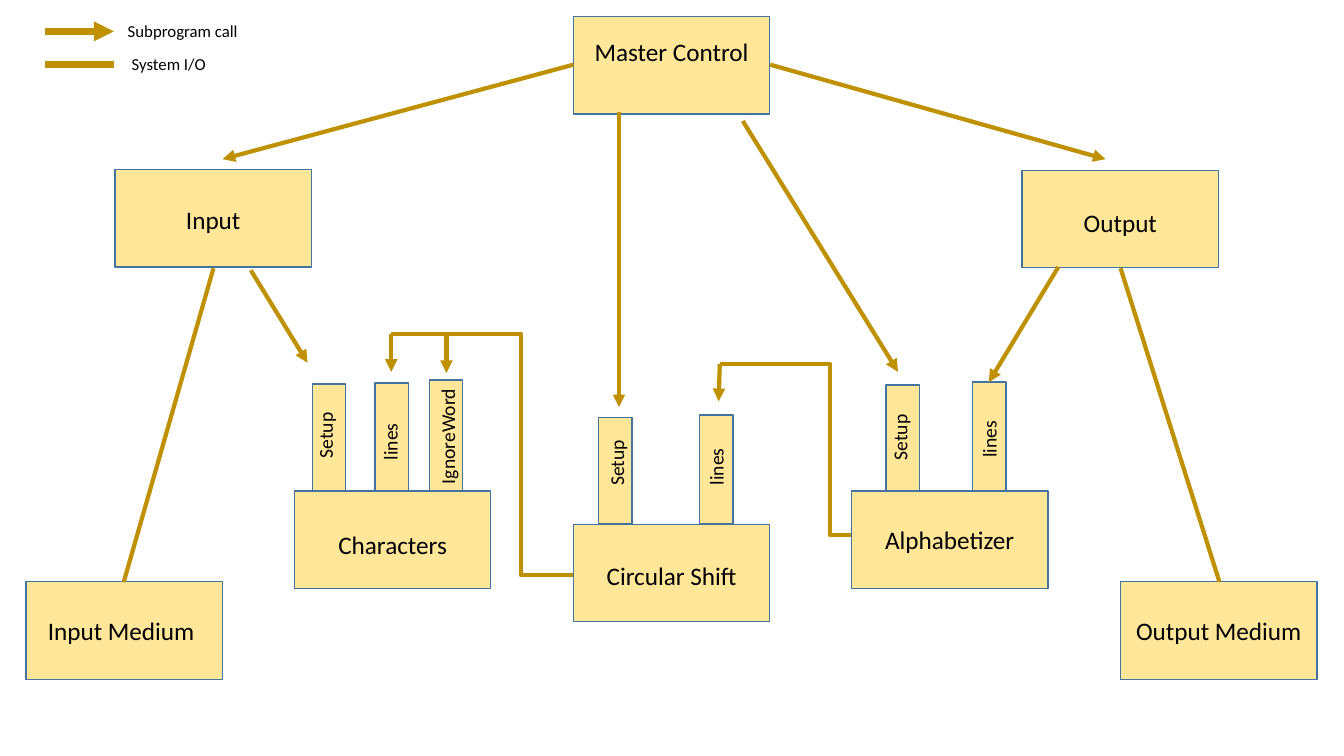
"""Draw a module structure chart with subprogram calls and system I/O."""
import dataclasses

import lxml.etree
import pptx
import pptx.dml.color
import pptx.enum.shapes
import pptx.enum.text
import pptx.oxml.ns
import pptx.util

Cm = pptx.util.Cm
Align = pptx.enum.text.PP_ALIGN
ConnectorType = pptx.enum.shapes.MSO_CONNECTOR

BOX_FILL = "FFE699"
BOX_EDGE = "43739E"
LINK_COLOUR = "BF9000"
TEXT_COLOUR = "000000"
MODULE_WIDTH, MODULE_HEIGHT = 4.95, 2.46
ENTRY_WIDTH = 0.84
FRAME_FORMAT = {
    "word_wrap": True,
    "auto_size": pptx.enum.text.MSO_AUTO_SIZE.SHAPE_TO_FIT_TEXT,
}


@dataclasses.dataclass
class Entry:
    name: str
    left: float
    top: float
    centre_x: float
    centre_y: float
    length: float


@dataclasses.dataclass
class Module:
    name: str
    left: float
    top: float
    label_top: float
    label_shift: float = 0
    entries: tuple[Entry, ...] = ()


@dataclasses.dataclass
class Link:
    start: tuple[float, float]
    end: tuple[float, float]
    arrow: bool = True
    width: float = 3
    elbow: bool = False


@dataclasses.dataclass
class LegendItem:
    name: str
    line_y: float
    label_left: float
    label_top: float
    arrow: bool


MODULES = (
    Module("Master Control", 14.45, 0.41, 0.79),
    Module("Input", 2.9, 4.27, 5.03),
    Module("Output", 25.76, 4.29, 5.11),
    Module("Circular Shift", 14.45, 13.21, 14, entries=(
        Entry("Setup", 15.09, 10.52, 15.54, 11.66, 2.24),
        Entry("lines", 17.63, 10.46, 18.05, 11.76, 2.87),
    )),
    Module("Alphabetizer", 21.46, 12.37, 13.08, entries=(
        Entry("Setup", 22.33, 9.7, 22.68, 11.02, 2.29),
        Entry("lines", 24.51, 9.63, 24.93, 11.07, 2.87),
    )),
    Module("Characters", 7.42, 12.37, 13.21, entries=(
        Entry("Setup", 7.87, 9.68, 8.2, 10.97, 2.24),
        Entry("lines", 9.45, 9.65, 9.83, 11.13, 2.64),
        Entry("IgnoreWord", 10.82, 9.58, 11.28, 11, 3.2),
    )),
    Module("Input Medium", 0.66, 14.66, 15.37, label_shift=-0.08),
    Module("Output Medium", 28.24, 14.66, 15.37),
)

LINKS_BEHIND = (
    Link((18.14, 9.17), (23.7, 13.49), arrow=False, elbow=True),
    Link((9.86, 8.41), (16.41, 14.5), arrow=False, elbow=True),
)

LINKS_IN_FRONT = (
    Link((14.45, 1.63), (5.61, 4.01)),
    Link((19.41, 1.63), (27.86, 4.01)),
    Link((15.6, 2.82), (15.6, 10.26)),
    Link((18.72, 3.05), (22.63, 9.37)),
    Link((5.38, 6.76), (3.12, 14.66), arrow=False),
    Link((28.24, 6.76), (30.73, 14.66), arrow=False),
    Link((6.32, 6.81), (7.75, 9.14)),
    Link((9.86, 8.41), (9.86, 9.37)),
    Link((11.25, 8.43), (11.25, 9.4)),
    Link((18.14, 9.17), (18.11, 10.11)),
    Link((26.67, 6.73), (24.92, 9.63)),
)

LEGEND = (
    LegendItem("Subprogram call", 0.79, 2.97, 0.41, True),
    LegendItem("System I/O", 1.63, 3.07, 1.24, False),
)


def colour(value: str) -> pptx.dml.color.RGBColor:
    """Turn a hex string into a colour."""
    return pptx.dml.color.RGBColor.from_string(value)


def apply_format(target: object, values: dict) -> None:
    """Set every format value on the target."""
    for name, value in values.items():
        setattr(target, name, value)


def add_box(slide, left: float, top: float, width: float, height: float) -> None:
    """Add a filled rectangle with a thin edge."""
    shape = slide.shapes.add_shape(
        pptx.enum.shapes.MSO_SHAPE.RECTANGLE, Cm(left), Cm(top), Cm(width), Cm(height)
    )
    shape.shadow.inherit = False
    shape.fill.solid()
    shape.fill.fore_color.rgb = colour(BOX_FILL)
    shape.line.color.rgb = colour(BOX_EDGE)
    shape.line.width = pptx.util.Pt(1)


def add_label(slide, text: str, left: float, top: float, width: float, height: float,
              size: float, alignment: Align = Align.CENTER, rotation: float = 0) -> None:
    """Add a text box holding one line of text."""
    shape = slide.shapes.add_textbox(Cm(left), Cm(top), Cm(width), Cm(height))
    shape.rotation = rotation
    apply_format(shape.text_frame, FRAME_FORMAT)
    paragraph = shape.text_frame.paragraphs[0]
    paragraph.alignment = alignment
    run = paragraph.add_run()
    run.text = text
    apply_format(run.font, {"name": "Calibri", "size": pptx.util.Pt(size)})
    run.font.color.rgb = colour(TEXT_COLOUR)


def add_link(slide, link: Link) -> None:
    """Add a straight or elbow connector, with an arrowhead for a call."""
    kind = ConnectorType.ELBOW if link.elbow else ConnectorType.STRAIGHT
    points = [Cm(value) for value in (*link.start, *link.end)]
    connector = slide.shapes.add_connector(kind, *points)
    connector.line.color.rgb = colour(LINK_COLOUR)
    connector.line.width = pptx.util.Pt(link.width)
    qualified = pptx.oxml.ns.qn
    properties = connector._element.spPr
    if link.arrow:
        outline = properties.find(qualified("a:ln"))
        lxml.etree.SubElement(outline, qualified("a:tailEnd"), type="triangle")
    lxml.etree.SubElement(properties, qualified("a:effectLst"))


def add_module(slide, module: Module) -> None:
    """Add a module box, its name and its entry points."""
    add_box(slide, module.left, module.top, MODULE_WIDTH, MODULE_HEIGHT)
    add_label(slide, module.name, module.left + module.label_shift, module.label_top,
              MODULE_WIDTH, 1.02, 18)
    for entry in module.entries:
        add_box(slide, entry.left, entry.top, ENTRY_WIDTH, module.top - entry.top)
        height = 0.86
        add_label(slide, entry.name, entry.centre_x - entry.length / 2,
                  entry.centre_y - height / 2, entry.length, height, 14, rotation=270)


def add_legend_item(slide, item: LegendItem) -> None:
    """Add a sample line with its meaning."""
    add_link(slide, Link((1.14, item.line_y), (2.87, item.line_y), item.arrow, 4.75))
    add_label(slide, item.name, item.label_left, item.label_top, 5.13, 0.76, 12, Align.LEFT)


def main() -> None:
    """Build the slide and save it."""
    presentation = pptx.Presentation()
    apply_format(presentation, {"slide_width": Cm(33.87), "slide_height": Cm(19.05)})
    slide = presentation.slides.add_slide(presentation.slide_layouts.get_by_name("Blank"))
    for link in LINKS_BEHIND:
        add_link(slide, link)
    for module in MODULES:
        add_module(slide, module)
    for link in LINKS_IN_FRONT:
        add_link(slide, link)
    for item in LEGEND:
        add_legend_item(slide, item)
    presentation.save("out.pptx")


if __name__ == "__main__":
    main()
